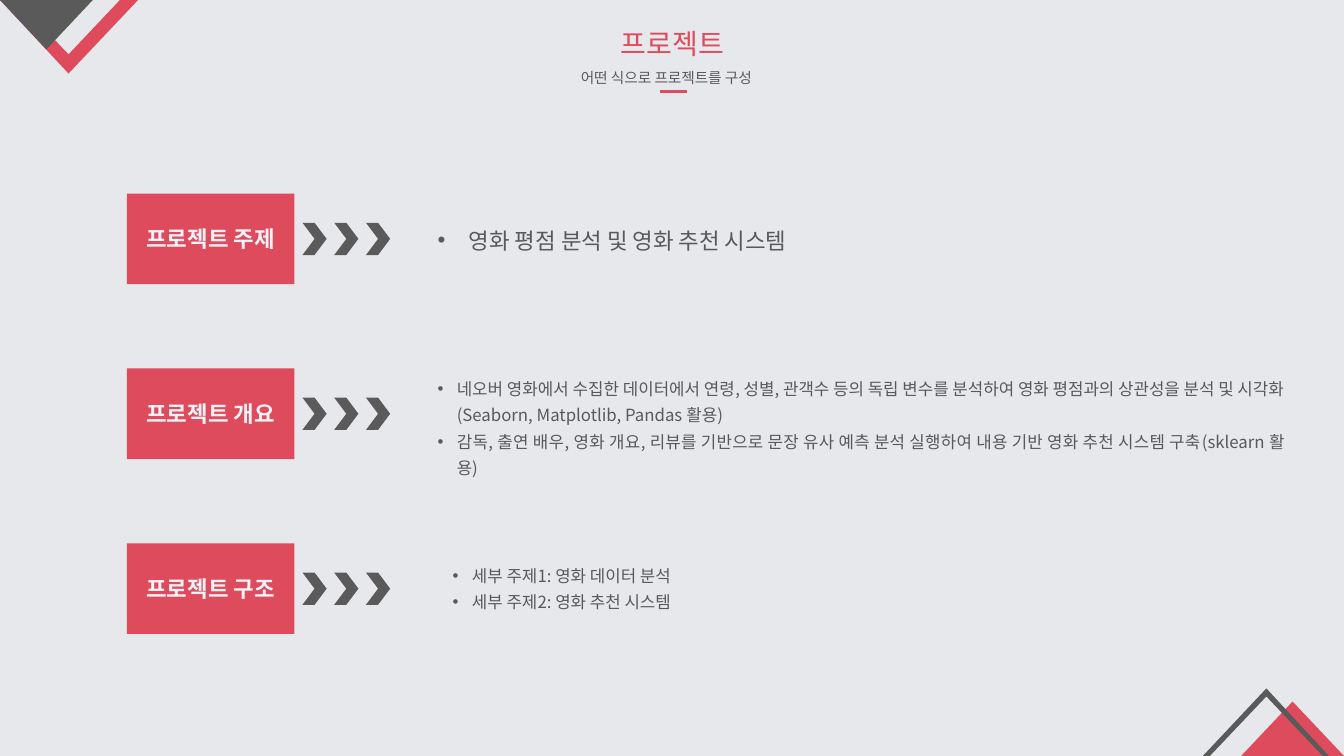
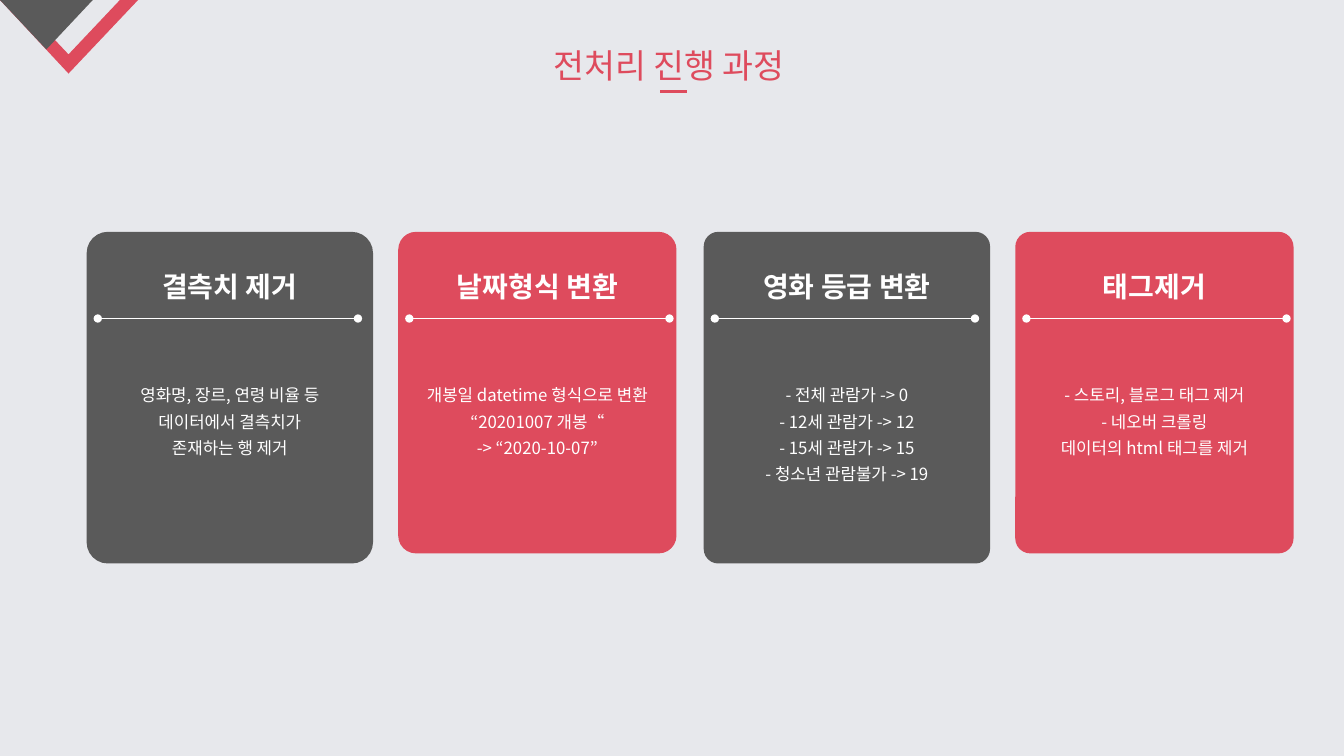
from lxml import etree
from pptx import Presentation
from pptx.dml.color import RGBColor
from pptx.enum.shapes import MSO_CONNECTOR, MSO_SHAPE
from pptx.enum.text import MSO_ANCHOR, MSO_AUTO_SIZE, PP_ALIGN
from pptx.oxml.ns import qn
from pptx.util import Inches, Pt

CENTER, JUSTIFY = PP_ALIGN.CENTER, PP_ALIGN.JUSTIFY
TOP, MIDDLE = MSO_ANCHOR.TOP, MSO_ANCHOR.MIDDLE
NO_FIT = MSO_AUTO_SIZE.NONE
RECTANGLE, ROUNDED, CHEVRON = (
    MSO_SHAPE.RECTANGLE, MSO_SHAPE.ROUNDED_RECTANGLE, MSO_SHAPE.CHEVRON)
STRAIGHT = MSO_CONNECTOR.STRAIGHT

FONT = "Noto Sans CJK KR"
COLORS = {
    "background": "E7E8EC", "red": "DE4B5D", "gray": "5A5A5A",
    "text": "595959", "label": "F0F2F5", "white": "FFFFFF",
}
COMPARISON_LAYOUT = 4  # a title and four body placeholders

# Corner ornaments: colour and outline points in inches
TOP_CORNER = [
    ("red", [(0.68, 0.73), (1.37, 0), (1.19, 0), (0.68, 0.54), (0.17, 0), (0, 0)]),
    ("gray", [(0.46, 0.49), (0.92, 0), (0, 0)]),
]
BOTTOM_CORNER = [
    ("red", [(12.82, 6.96), (12.31, 7.5), (13.33, 7.5)]),
    ("gray", [(13.18, 7.5), (13.12, 7.5), (12.56, 6.91), (12, 7.5),
              (11.93, 7.5), (12.56, 6.83)]),
]

# Project rows: label, list position, size, indent and items
ROWS = [
    ("프로젝트 주제", (4.24, 2.12, 7.37, 0.43), 16, 0.31,
     ["영화 평점 분석 및 영화 추천 시스템"]),
    ("프로젝트 개요", (4.24, 3.65, 8.6, 1.13), 12, 0.19,
     ["네오버 영화에서 수집한 데이터에서 연령, 성별, 관객수 등의 독립 변수를 분석하여 "
      "영화 평점과의 상관성을 분석 및 시각화(Seaborn, Matplotlib, Pandas 활용)",
      "감독, 출연 배우, 영화 개요, 리뷰를 기반으로 문장 유사 예측 분석 실행하여 "
      "내용 기반 영화 추천 시스템 구축(sklearn 활용)"]),
    ("프로젝트 구조", (4.39, 5.5, 7.37, 0.61), 12, 0.19,
     ["세부 주제1: 영화 데이터 분석", "세부 주제2: 영화 추천 시스템"]),
]

# Preprocessing cards: heading, corner radius and lines
CARDS = [
    ("결측치 제거", 0.074,
     ["영화명, 장르, 연령 비율 등", "데이터에서 결측치가", "존재하는 행 제거"]),
    ("날짜형식 변환", 0.064,
     ["개봉일 datetime 형식으로 변환", "“20201007 개봉“", "-> “2020-10-07”"]),
    ("영화 등급 변환", 0.051,
     ["- 전체 관람가 -> 0", "- 12세 관람가 -> 12", "- 15세 관람가 -> 15",
      "- 청소년 관람불가 -> 19"]),
    ("태그제거", 0.054,
     ["- 스토리, 블로그 태그 제거", "- 네오버 크롤링", "데이터의 html 태그를 제거"]),
]
CARD_STYLES = [("gray", 2.84, 3.29), ("red", 2.76, 3.19)]


def color(name):
    return RGBColor.from_string(COLORS[name])


def write(box, lines, size, fill, bold=False, align=CENTER, spacing=1.3,
          anchor=TOP, indent=None):
    """Fill a box with one paragraph a line; an indent makes them bullets."""
    frame = box.text_frame
    frame.word_wrap = True
    frame.auto_size = NO_FIT
    frame.vertical_anchor = anchor
    for number, line in enumerate(lines):
        para = frame.add_paragraph() if number else frame.paragraphs[0]
        properties = para._p.get_or_add_pPr()
        hanging = Inches(indent or 0)
        properties.set("marL", str(hanging))
        properties.set("indent", str(-hanging))
        if indent:
            etree.SubElement(properties, qn("a:buFont"), typeface="Arial")
            etree.SubElement(properties, qn("a:buChar"), char="•")
        else:
            etree.SubElement(properties, qn("a:buNone"))
        para.alignment = align
        para.line_spacing = spacing
        para.space_before = para.space_after = Pt(0)
        span = para.add_run()
        span.text = line
        span.font.name = FONT
        span.font.size = Pt(size)
        span.font.bold = bold
        span.font.color.rgb = color(fill)
        latin = span._r.get_or_add_rPr().find(qn("a:latin"))
        latin.addnext(etree.Element(qn("a:ea"), typeface=FONT))


def fill_placeholder(page, index, position, lines, **text_format):
    """Move a placeholder in front of the other shapes and fill it."""
    box = page.placeholders[index]
    box.left, box.top, box.width, box.height = map(Inches, position)
    page.shapes.element.append(box.element)
    write(box, lines, **text_format)


def paint(shape, fill):
    shape.shadow.inherit = False
    shape.fill.solid()
    shape.fill.fore_color.rgb = color(fill)
    shape.line.fill.background()


def add_block(page, kind, position, fill):
    shape = page.shapes.add_shape(kind, *map(Inches, position))
    paint(shape, fill)
    return shape


def add_outline(page, fill, points):
    points = [(Inches(x), Inches(y)) for x, y in points]
    builder = page.shapes.build_freeform(*points[0], scale=1.0)
    builder.add_line_segments(points[1:], close=True)
    paint(builder.convert_to_shape(), fill)


def add_rule(page, left, top, length, fill, weight, dots=False):
    rule = page.shapes.add_connector(
        STRAIGHT, Inches(left), Inches(top), Inches(left + length), Inches(top))
    rule.line.color.rgb = color(fill)
    rule.line.width = Pt(weight)
    if dots:
        for end in ("a:headEnd", "a:tailEnd"):
            etree.SubElement(rule.line._get_or_add_ln(), qn(end), type="oval")
    etree.SubElement(rule._element.spPr, qn("a:effectLst"))


def add_page(deck, title, position, size, spacing, ornaments):
    """Start a page with its corners, title and title underline."""
    page = deck.slides.add_slide(deck.slide_layouts[COMPARISON_LAYOUT])
    for fill, points in ornaments:
        add_outline(page, fill, points)
    fill_placeholder(page, 0, position, [title], size=size, fill="red",
                     spacing=spacing)
    add_rule(page, 6.55, 0.91, 0.26, "red", 1.75)
    return page


def add_project_page(deck):
    page = add_page(deck, "프로젝트", (5.17, 0.21, 3, 0.44), 20, 1.0,
                    TOP_CORNER + BOTTOM_CORNER)
    fill_placeholder(page, 1, (4.86, 0.58, 3.5, 0.31),
                     ["어떤 식으로 프로젝트를 구성"], size=10.5, fill="gray")
    for number, (label, position, size, indent, items) in enumerate(ROWS):
        top = 1.92 + number * 1.735
        block = add_block(page, RECTANGLE, (1.26, top, 1.66, 0.9), "red")
        write(block, [label], 16, "label", bold=True, spacing=1.0, anchor=MIDDLE)
        for step in range(3):
            add_block(page, CHEVRON,
                      (3 + step * 0.315, top + 0.29, 0.24, 0.32), "gray")
        fill_placeholder(page, number + 2, position, items, size=size,
                         fill="text", align=JUSTIFY, indent=indent)


def add_preprocessing_page(deck):
    page = add_page(deck, "전처리 진행 과정", (5.05, 0.28, 3.17, 0.59), 24, 1.3,
                    TOP_CORNER)
    for number, (heading, radius, lines) in enumerate(CARDS):
        pair, side = divmod(number, 2)
        fill, width, height = CARD_STYLES[side]
        left = 0.86 + pair * 6.12 + side * 3.09
        card = add_block(page, ROUNDED, (left, 2.3, width, height), fill)
        card.adjustments[0] = radius
        heading_box = page.shapes.add_textbox(
            *map(Inches, (left, 2.52, width, 0.51)))
        write(heading_box, [heading], 20, "white", bold=True)
        add_rule(page, left + 0.11, 3.16, 2.58, "white", 0.5, dots=True)
        fill_placeholder(page, number + 1, (left, 3.71, width, 1.13), lines,
                         size=12, fill="white")


def main():
    deck = Presentation()
    deck.slide_width, deck.slide_height = Inches(13.33), Inches(7.5)
    background = deck.slide_master.background.fill
    background.solid()
    background.fore_color.rgb = color("background")
    add_project_page(deck)
    add_preprocessing_page(deck)
    deck.save("out.pptx")


if __name__ == "__main__":
    main()
